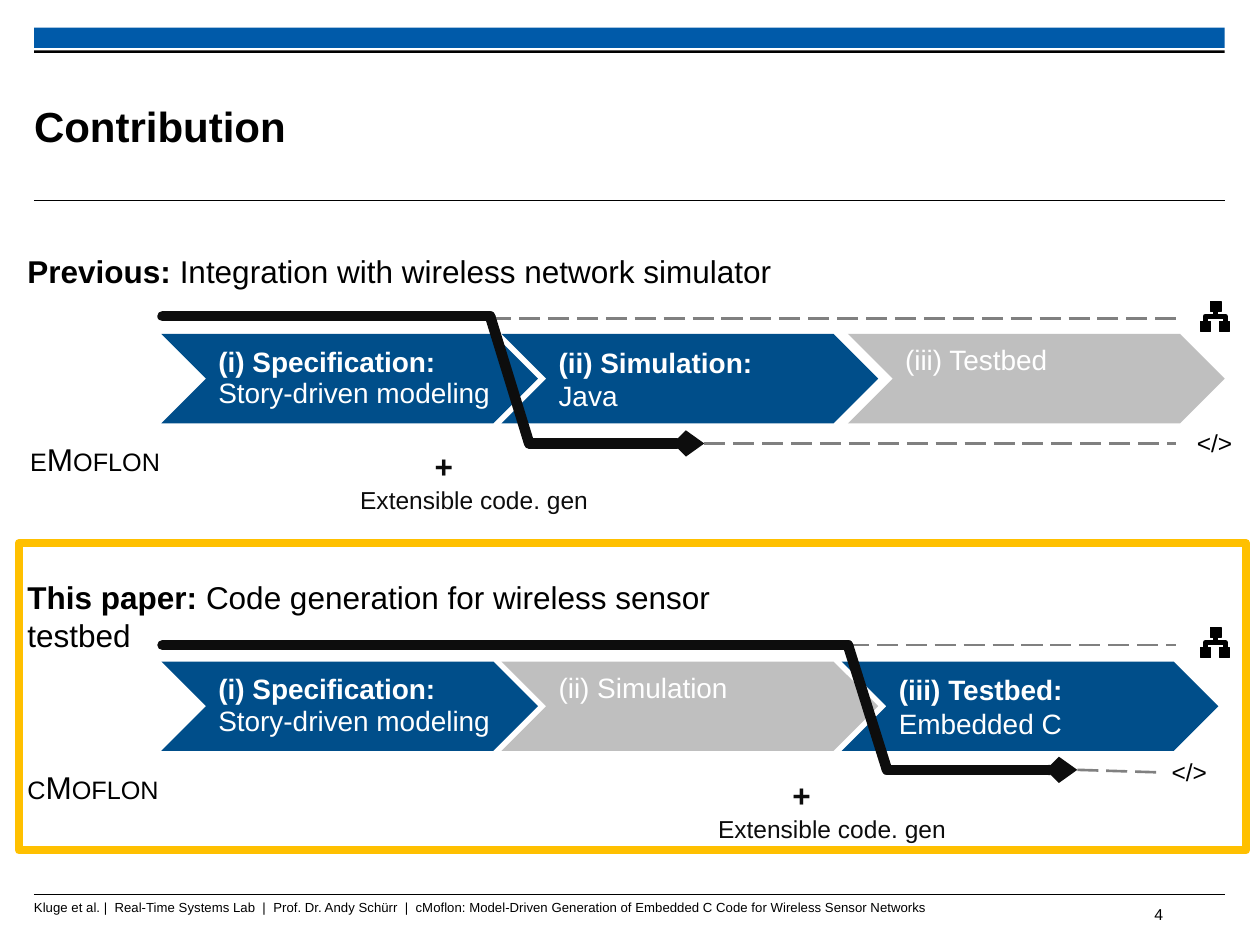
from dataclasses import dataclass

from pptx import Presentation
from pptx.dml.color import RGBColor
from pptx.enum.dml import MSO_LINE
from pptx.enum.shapes import MSO_CONNECTOR as Link, MSO_SHAPE as Shape
from pptx.enum.text import MSO_ANCHOR as Anchor, PP_ALIGN as Align
from pptx.oxml.ns import qn
from pptx.util import Emu, Pt
from lxml.etree import SubElement

PX = 9144


@dataclass(frozen=True)
class Theme:
    """Colours, font and type sizes of the deck."""
    font: str = "Arial"
    ink: str = "000000"
    soft_ink: str = "0D0D0D"
    white: str = "FFFFFF"
    banner: str = "005AA9"
    active: str = "004E8A"
    idle: str = "BFBFBF"
    dash: str = "808080"
    accent: str = "FFC000"
    title: float = 24
    heading: float = 18
    stage: float = 16
    label: float = 14
    number: float = 9
    footer: float = 7.5


@dataclass(frozen=True)
class Lane:
    """Content and turning points of one tool chain."""
    top: int
    heading: tuple
    tool: str
    tool_box: tuple
    tool_align: Align
    stages: tuple
    bend: int
    arrow_end: int
    dash_end: int
    code_left: int
    drop: int


THEME = Theme()
SPECIFICATION = (128, ("(i) Specification: \v", "Story-driven modeling"), True, 0.93)
LANES = (
    Lane(195, ("Previous:", " Integration with wireless network simulator"),
         "eMoflon", (10, 131), Align.CENTER,
         (SPECIFICATION,
          (398, ("(ii) Simulation:\v", "Java"), True, None),
          (673, ("(iii) Testbed\v",), False, None)),
         389, 559, 933, 940, 0),
    Lane(454, ("This paper: ", "Code generation for wireless sensor testbed"),
         "cMoflon", (12, 126), Align.LEFT,
         (SPECIFICATION,
          (398, ("(ii) Simulation\v",), False, None),
          (668, ("(iii) Testbed: \v", "Embedded C"), True, None)),
         673, 855, 920, 920, 2),
)


def px(*lengths):
    """Turn px lengths into EMU."""
    return [Emu(round(length * PX)) for length in lengths]


def write(box, parts, size, color=THEME.ink, bold=False, align=Align.LEFT):
    """Fill a text frame with runs, of which only the first may be bold."""
    frame = box.text_frame
    frame.text = parts[0]
    para = frame.paragraphs[0]
    para.alignment = align
    for part in parts[1:]:
        para.add_run().text = part
    for index, span in enumerate(para.runs):
        span.font.name, span.font.size = THEME.font, Pt(size)
        span.font.bold = bold and index == 0
        span.font.color.rgb = RGBColor.from_string(color)
    return para


def add_text(page, box, parts, size, wrap=False, inset=True, **style):
    """Add a text box holding one paragraph."""
    label = page.shapes.add_textbox(*px(*box))
    frame = label.text_frame
    frame.word_wrap = wrap
    if not inset:
        frame.margin_left = frame.margin_right = 0
        frame.margin_top = frame.margin_bottom = 0
    write(label, parts, size, **style)
    return label


def add_block(shapes, kind, box, fill=None, line=None, width=0.75):
    """Add a preset shape with a plain fill and outline."""
    block = shapes.add_shape(kind, *px(*box))
    block.shadow.inherit = False
    if fill:
        block.fill.solid()
        block.fill.fore_color.rgb = RGBColor.from_string(fill)
    else:
        block.fill.background()
    if line:
        block.line.color.rgb = RGBColor.from_string(line)
        block.line.width = Pt(width)
    else:
        block.line.fill.background()
    return block


def add_line(shapes, start, end, color, width, kind=Link.STRAIGHT, dashed=False):
    """Add a connector without a shadow."""
    line = shapes.add_connector(kind, *px(*start, *end))
    line.line.color.rgb = RGBColor.from_string(color)
    line.line.width = Pt(width)
    if dashed:
        line.line.dash_style = MSO_LINE.LONG_DASH
    SubElement(line._element.spPr, qn("a:effectLst"))
    return line


def add_track(page, points):
    """Draw a thick round-ended track that ends in an arrow."""
    for start, end in zip(points, points[1:]):
        track = add_line(page.shapes, start, end, THEME.soft_ink, 6)
        outline = track.line._get_or_add_ln()
        outline.set("cap", "rnd")
        SubElement(outline, qn("a:round"))
    SubElement(outline, qn("a:tailEnd"), type="arrow", w="sm", len="sm")


def add_model_icon(page, left, top):
    """Draw a small tree of three nodes."""
    icon = page.shapes.add_group_shape()
    for x, y in ((8, 0), (0, 16), (15, 16)):
        add_block(icon.shapes, Shape.RECTANGLE, (left + x, top + y, 8, 8),
                  THEME.ink, THEME.ink)
    for start, end, turn in (((12, 16), (3, 8), 90), ((11, 16), (20, 8), 270)):
        branch = add_line(icon.shapes, (left + start[0], top + start[1]),
                          (left + end[0], top + end[1]), THEME.ink, 3, Link.ELBOW)
        branch._element.spPr.find(qn("a:xfrm")).set("rot", str(turn * 60000))


def add_stage(page, left, top, parts, active, spacing):
    """Draw one chevron of a tool chain."""
    stage = add_block(page.shapes, Shape.CHEVRON, (left, top, 299, 71),
                      THEME.active if active else THEME.idle)
    stage.text_frame.word_wrap = False
    stage.text_frame.vertical_anchor = Anchor.MIDDLE
    para = write(stage, parts, THEME.stage, THEME.white, active)
    if spacing:
        para.line_spacing = spacing


def add_lane(page, lane):
    """Draw one tool chain below its heading."""
    top, bend = lane.top, lane.bend
    shifted = top + lane.drop
    model_y, code_y = top + 58, top + 157
    add_line(page.shapes, (bend, model_y), (933, model_y), THEME.dash, 1.5, dashed=True)
    for left, parts, active, spacing in lane.stages:
        add_stage(page, left, top + 70 + lane.drop // 2, parts, active, spacing)
    add_text(page, (12, top, 640, 40), lane.heading, THEME.heading, bold=True)
    tool_left, tool_width = lane.tool_box
    tool = add_text(page, (tool_left, shifted + 149, tool_width, 44), (lane.tool,),
                    THEME.heading, wrap=True, align=lane.tool_align)
    tool.text_frame.paragraphs[0].runs[0].font._element.set("cap", "small")
    add_text(page, (bend - 113, shifted + 185, 202, 34), ("Extensible code. gen",),
             THEME.label, color=THEME.soft_ink)
    add_text(page, (bend - 54, shifted + 155, 29, 31), ("+",),
             THEME.heading, color=THEME.soft_ink, bold=True)
    add_track(page, ((129, shifted + 56), (bend, shifted + 56),
                     (bend + 31, code_y), (lane.arrow_end, code_y)))
    add_line(page.shapes, (lane.arrow_end, code_y),
             (lane.dash_end, code_y + lane.drop), THEME.dash, 1.5, dashed=True)
    add_model_icon(page, 953, top + 44)
    add_text(page, (lane.code_left, shifted + 140, 48, 34), ("</>",), THEME.label)


def add_header(page, left, width):
    """Draw the banner, the rules and the title."""
    add_block(page.shapes, Shape.RECTANGLE, (left, 22, width, 16), THEME.banner)
    add_block(page.shapes, Shape.RECTANGLE, (left, 40, width, 2), THEME.ink)
    add_line(page.shapes, (left, 159), (left + width, 159), THEME.ink, 0.6)
    title = page.shapes.title
    title.left, title.top, title.width, title.height = px(left, 54, 752, 92)
    frame = title.text_frame
    frame.margin_left = frame.margin_right = frame.margin_top = frame.margin_bottom = 0
    frame.vertical_anchor = Anchor.MIDDLE
    write(title, ("Contribution",), THEME.title, bold=True)


def add_footer(page, left, width):
    """Draw the footer rule, the credit line and the page number."""
    add_line(page.shapes, (left, 710), (left + width, 710), THEME.ink, 0.6)
    add_text(page, (left, 714, 933, 25),
             ("Kluge et al. |  Real-Time Systems Lab  |  Prof. Dr. Andy Schürr  |  "
              "cMoflon: Model-Driven Generation of Embedded C Code for Wireless "
              "Sensor Networks",), THEME.footer, wrap=True, inset=False)
    number = add_text(page, (788, 712, 145, 27), ("4",), THEME.number,
                      wrap=True, align=Align.RIGHT)
    number.text_frame.vertical_anchor = Anchor.MIDDLE


def main():
    """Build the deck."""
    deck = Presentation()
    deck.slide_width, deck.slide_height = px(1000, 750)
    page = deck.slides.add_slide(deck.slide_layouts[5])
    add_header(page, 27, 945)
    add_footer(page, 27, 945)
    for lane in LANES:
        add_lane(page, lane)
    add_block(page.shapes, Shape.RECTANGLE, (15, 431, 974, 244),
              line=THEME.accent, width=4.5)
    deck.save("out.pptx")


if __name__ == "__main__":
    main()
